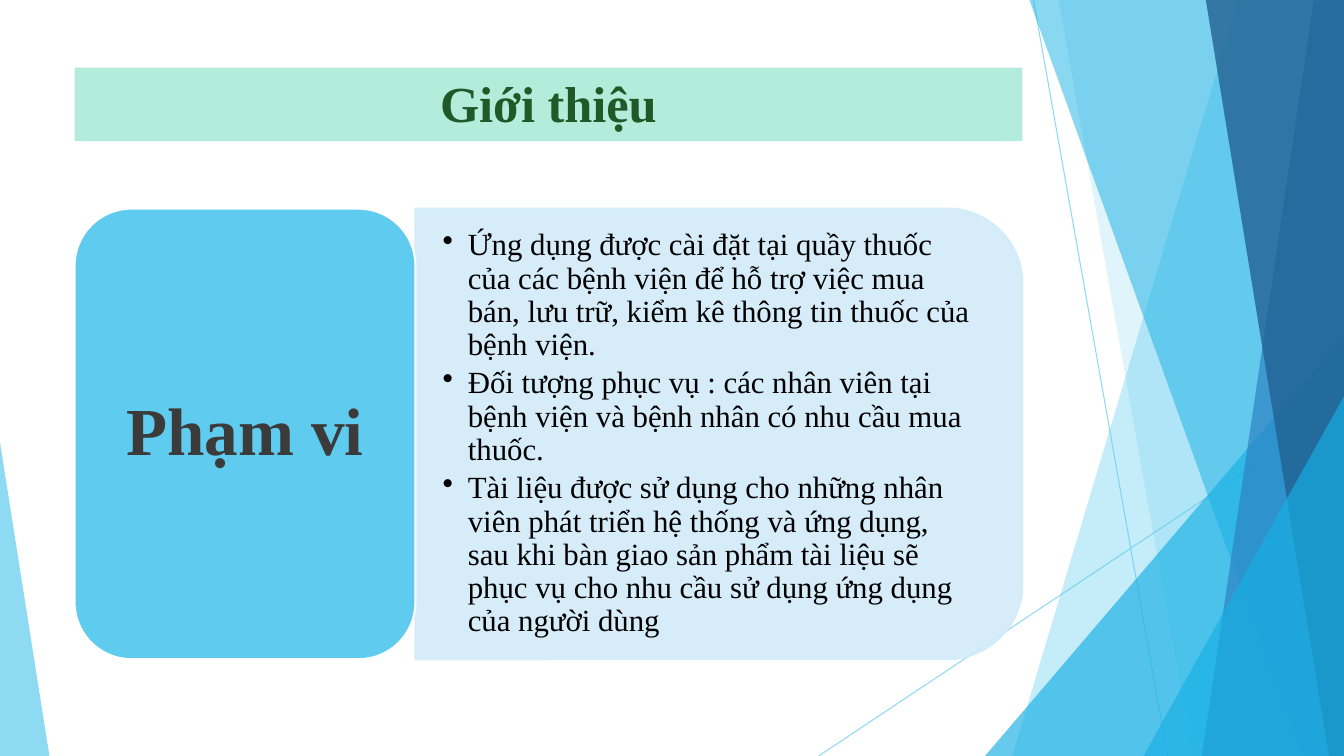
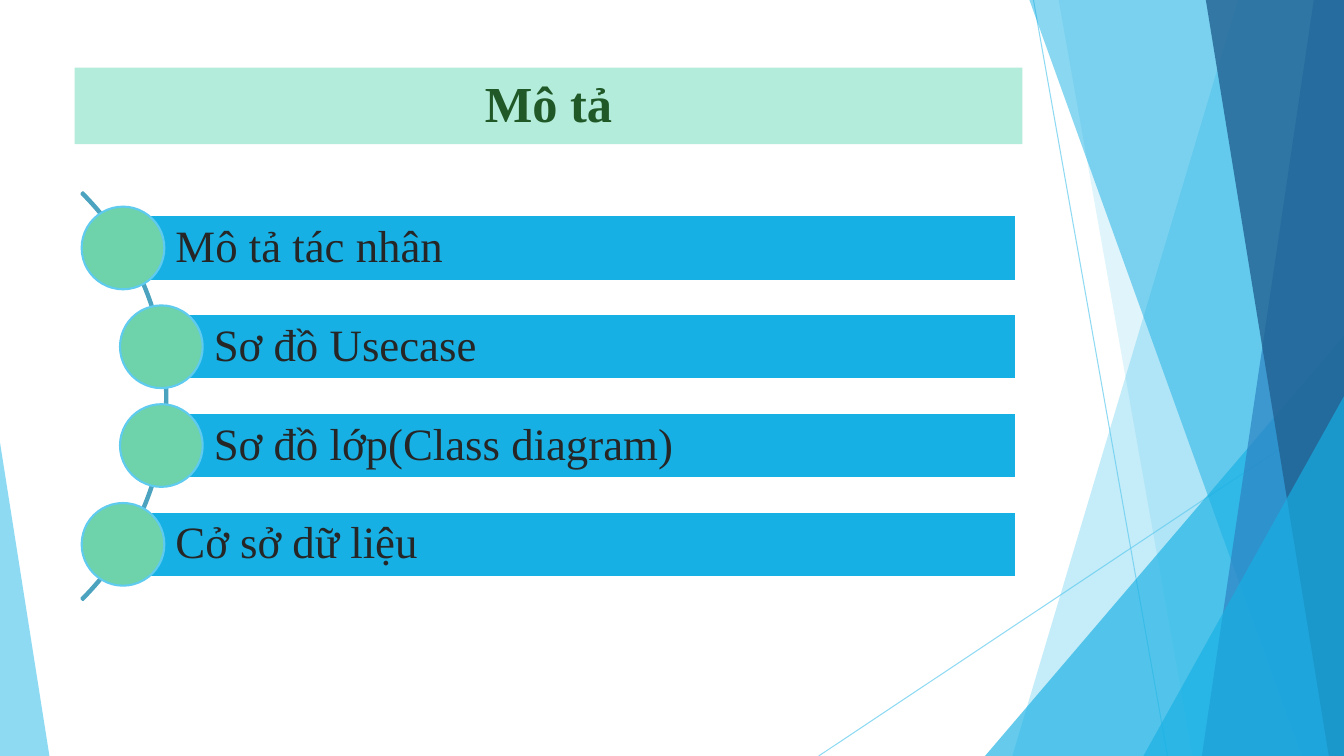
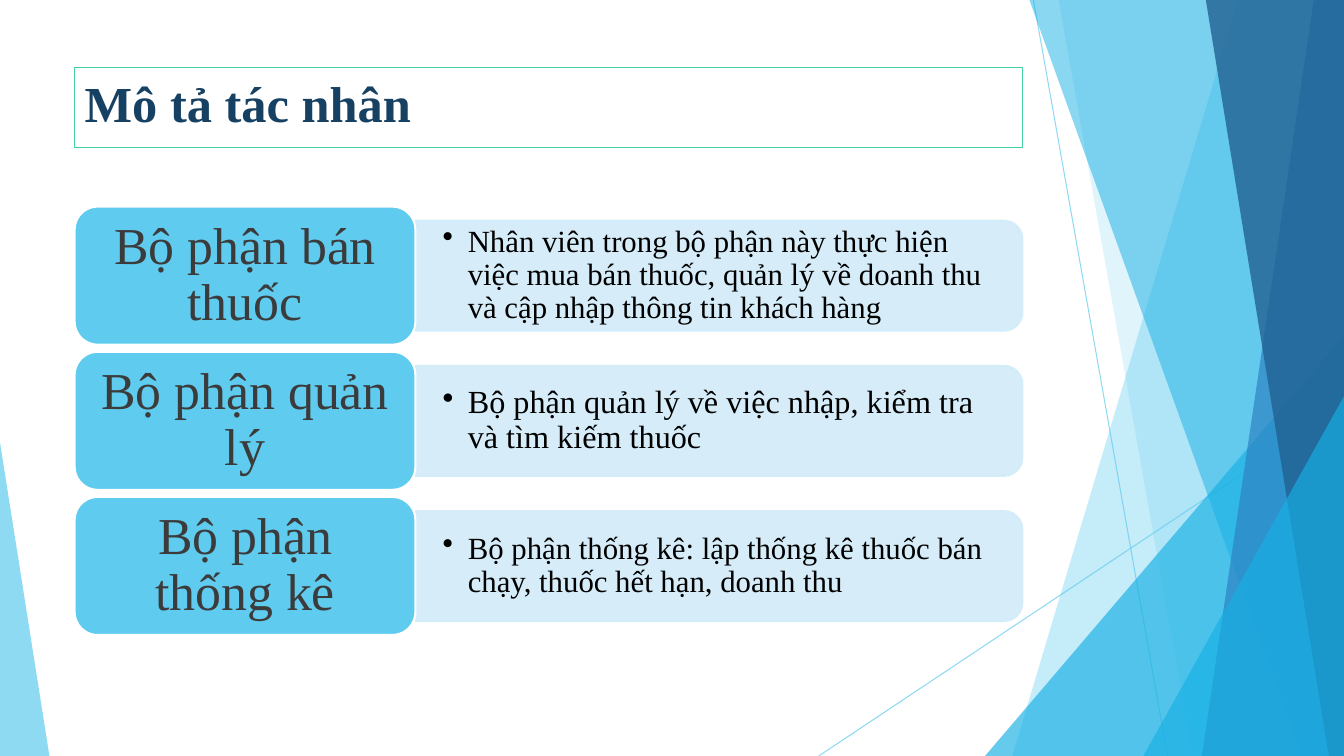
from dataclasses import dataclass
from typing import Optional

from lxml.etree import SubElement
from pptx import Presentation
from pptx.dml.color import RGBColor
from pptx.enum.shapes import MSO_CONNECTOR, MSO_SHAPE as Preset
from pptx.enum.text import MSO_ANCHOR as Anchor, MSO_AUTO_SIZE as AutoSize, PP_ALIGN as Align
from pptx.oxml.ns import qn
from pptx.util import Inches, Pt

FONT = "Times New Roman"
WHITE = RGBColor(0xFF, 0xFF, 0xFF)
BLACK = RGBColor(0x00, 0x00, 0x00)
CHARCOAL = RGBColor(0x26, 0x26, 0x26)
GRAY = RGBColor(0x3B, 0x3B, 0x3B)
SKY = RGBColor(0x5F, 0xCB, 0xEF)
CYAN = RGBColor(0x17, 0xB0, 0xE4)
BLUE = RGBColor(0x2E, 0x83, 0xC3)
NAVY = RGBColor(0x22, 0x62, 0x92)
INK = RGBColor(0x17, 0x41, 0x62)
PALE_BLUE = RGBColor(0xD2, 0xEC, 0xF9)
ARC_TEAL = RGBColor(0x4C, 0xA3, 0xBF)
MINT = RGBColor(0xB3, 0xEC, 0xDA)
GREEN = RGBColor(0x6E, 0xD2, 0xAA)
EMERALD = RGBColor(0x42, 0xD0, 0xA2)
FOREST = RGBColor(0x21, 0x58, 0x28)

SLIDE_WIDTH, SLIDE_HEIGHT = 13.33, 7.5
LEFT = 0.74
LABEL_WIDTH, PANEL_WIDTH = 3.38, 6.02
CORNER_INSET = 0.05  # share of a panel's height kept clear of its round corners


@dataclass(frozen=True)
class Ray:
    """A band from the top edge to the bottom edge, closed by the right edge."""
    top_x: float
    bottom_x: float
    color: RGBColor
    opacity: int


@dataclass(frozen=True)
class Wedge:
    left: float
    top: float
    width: float
    apex: float
    color: RGBColor
    opacity: int


@dataclass(frozen=True)
class TextStyle:
    size: float
    color: RGBColor
    bold: bool = False
    align: Align = Align.LEFT
    line_spacing: float = 0.9


@dataclass(frozen=True)
class TitleStyle:
    text: TextStyle
    fill: Optional[RGBColor] = None
    line: Optional[RGBColor] = None


@dataclass(frozen=True)
class Row:
    label: str
    points: list[str]
    point_size: int = 22


@dataclass(frozen=True)
class RowStyle:
    label: TextStyle
    height: float
    panel_height: float
    margin_x: float
    margin_y: float


THIN_LINES = [((10.25, 0), (11.58, 7.5)), ((13.33, 4.03), (8.12, 7.5))]
BACKDROP = [
    Ray(12.28, 10.04, SKY, 36),
    Ray(10.5, 11.83, SKY, 20),
    Wedge(9.77, 3.33, 3.56, 1, CYAN, 66),
    Ray(10.21, 12.91, CYAN, 50),
    Ray(13.03, 11.92, BLUE, 70),
    Ray(11.96, 13.18, NAVY, 80),
    Wedge(11.34, 3.93, 1.99, 1, CYAN, 66),
    Wedge(0, 4.39, 0.49, 0, SKY, 70),
]

BAND_TITLE = TitleStyle(TextStyle(36, FOREST, True, Align.CENTER, 1), fill=MINT)
FRAME_TITLE = TitleStyle(TextStyle(36, INK, True, line_spacing=1), line=EMERALD)
SCOPE_STYLE = RowStyle(TextStyle(48, GRAY, True, Align.CENTER), 4.47, 4.47, 0.2, 0.1)
ACTOR_STYLE = RowStyle(TextStyle(37, GRAY, align=Align.CENTER), 1.37, 1.09, 0.15, 0.08)

SCOPE = Row("Phạm vi", [
    "Ứng dụng được cài đặt tại quầy thuốc của các bệnh viện để hỗ trợ việc mua bán, "
    "lưu trữ, kiểm kê thông tin thuốc của bệnh viện.",
    "Đối tượng phục vụ : các nhân viên tại bệnh viện và bệnh nhân có nhu cầu mua thuốc.",
    "Tài liệu được sử dụng cho những nhân viên phát triển hệ thống và ứng dụng, sau khi "
    "bàn giao sản phẩm tài liệu sẽ phục vụ cho nhu cầu sử dụng ứng dụng của người dùng",
])
TOPICS = ["Mô tả tác nhân", "Sơ đồ Usecase", "Sơ đồ lớp(Class diagram)", "Cở sở dữ liệu"]
ACTORS = [
    Row("Bộ phận bán thuốc", ["Nhân viên trong bộ phận này thực hiện việc mua bán thuốc, "
                              "quản lý về doanh thu và cập nhập thông tin khách hàng"]),
    Row("Bộ phận quản lý", ["Bộ phận quản lý về việc nhập, kiểm tra và tìm kiếm thuốc"], 23),
    Row("Bộ phận thống kê", ["Bộ phận thống kê: lập thống kê thuốc bán chạy, "
                             "thuốc hết hạn, doanh thu"]),
]


def paint(shape, fill: Optional[RGBColor], line: Optional[RGBColor] = None,
          line_width: float = 1.5) -> None:
    if fill is None:
        shape.fill.background()
    else:
        shape.fill.solid()
        shape.fill.fore_color.rgb = fill
    if line is None:
        shape.line.fill.background()
    else:
        shape.line.color.rgb = line
        shape.line.width = Pt(line_width)


def set_opacity(shape, percent: int) -> None:
    for color in shape.element.iter(qn("a:srgbClr")):
        SubElement(color, qn("a:alpha"), val=str(percent * 1000))


def add_preset(slide, preset: Preset, left: float, top: float, width: float, height: float,
               fill: Optional[RGBColor], line: Optional[RGBColor] = None):
    shape = slide.shapes.add_shape(preset, Inches(left), Inches(top),
                                   Inches(width), Inches(height))
    shape.shadow.inherit = False
    paint(shape, fill, line)
    return shape


def write(shape, paragraphs: list[str], style: TextStyle, anchor: Anchor = Anchor.MIDDLE) -> None:
    frame = shape.text_frame
    frame.text = "\n".join(paragraphs)
    frame.word_wrap = True
    frame.auto_size = AutoSize.NONE
    frame.vertical_anchor = anchor
    for para in frame.paragraphs:
        para.alignment = style.align
        para.line_spacing = style.line_spacing
        for span in para.runs:
            span.font.name = FONT
            span.font.size = Pt(style.size)
            span.font.bold = style.bold
            span.font.color.rgb = style.color


def set_margins(shape, left: float, top: float, right: float, bottom: float) -> None:
    frame = shape.text_frame
    frame.margin_left, frame.margin_top = Inches(left), Inches(top)
    frame.margin_right, frame.margin_bottom = Inches(right), Inches(bottom)


def add_bullets(shape) -> None:
    for para in shape.text_frame.paragraphs:
        para.space_after = Pt(3.6)
        properties = para._p.get_or_add_pPr()
        properties.set("marL", str(Inches(0.25)))
        properties.set("indent", str(-Inches(0.25)))
        SubElement(properties, qn("a:buChar"), char="•")


def add_ray(slide, ray: Ray):
    builder = slide.shapes.build_freeform(Inches(ray.top_x), 0, scale=1.0)
    corners = [(SLIDE_WIDTH, 0), (SLIDE_WIDTH, SLIDE_HEIGHT), (ray.bottom_x, SLIDE_HEIGHT)]
    builder.add_line_segments([(Inches(x), Inches(y)) for x, y in corners], close=True)
    shape = builder.convert_to_shape()
    shape.shadow.inherit = False
    paint(shape, ray.color)
    return shape


def add_wedge(slide, wedge: Wedge):
    shape = add_preset(slide, Preset.ISOSCELES_TRIANGLE, wedge.left, wedge.top, wedge.width,
                       SLIDE_HEIGHT - wedge.top, wedge.color)
    shape.adjustments[0] = wedge.apex
    return shape


def add_thin_line(slide, start: tuple[float, float], end: tuple[float, float]):
    line = slide.shapes.add_connector(MSO_CONNECTOR.STRAIGHT, *map(Inches, start + end))
    line.line.color.rgb = SKY
    line.line.width = Pt(0.75)
    set_opacity(line, 70)
    SubElement(line.element.spPr, qn("a:effectLst"))
    return line


def move_backdrop_to_layout(slide, layout) -> None:
    """Draw the backdrop on a slide, then hand it to the layout all slides share."""
    for placeholder in list(layout.placeholders)[1:]:
        layout.shapes.element.remove(placeholder.element)
    drawn = [add_thin_line(slide, start, end) for start, end in THIN_LINES]
    for part in BACKDROP:
        shape = add_ray(slide, part) if isinstance(part, Ray) else add_wedge(slide, part)
        set_opacity(shape, part.opacity)
        drawn.append(shape)
    for shape in drawn:
        layout.shapes.element.append(shape.element)


def set_title(slide, text: str, height: float, style: TitleStyle) -> None:
    title = slide.shapes.title
    title.left, title.top = Inches(LEFT), Inches(0.67)
    title.width, title.height = Inches(LABEL_WIDTH + PANEL_WIDTH), Inches(height)
    paint(title, style.fill, style.line, 0.75)
    write(title, [text], style.text, Anchor.TOP)


def add_row(slide, row: Row, top: float, style: RowStyle) -> None:
    """Add a label with a panel of bullets at its right, centred on the label."""
    panel_left, height = LEFT + LABEL_WIDTH, style.panel_height
    panel_top = top + (style.height - height) / 2
    # The panel is turned a quarter, so its unrotated box swaps width and height.
    shift = (PANEL_WIDTH - height) / 2
    panel = add_preset(slide, Preset.ROUND_2_SAME_RECTANGLE, panel_left + shift,
                       panel_top - shift, height, PANEL_WIDTH, PALE_BLUE, PALE_BLUE)
    panel.rotation = 90
    set_opacity(panel, 90)

    inset = height * CORNER_INSET
    box = slide.shapes.add_textbox(Inches(panel_left), Inches(panel_top + inset),
                                   Inches(PANEL_WIDTH - inset), Inches(height - 2 * inset))
    write(box, row.points, TextStyle(row.point_size, BLACK))
    set_margins(box, 0.27, 0.14, 0.27, 0.14)
    add_bullets(box)

    label = add_preset(slide, Preset.ROUNDED_RECTANGLE, LEFT, top, LABEL_WIDTH,
                       style.height, SKY, WHITE)
    write(label, [row.label], style.label)
    set_margins(label, style.margin_x, style.margin_y, style.margin_x, style.margin_y)


def add_topics(slide) -> None:
    """Add the bars, each starting at the centre of a circle set along an arc."""
    arc = add_preset(slide, Preset.BLOCK_ARC, -4.06, 1.07, 5.72, 5.72, None, ARC_TEAL)
    for index, value in enumerate((189, 27, 0.004)):
        arc.adjustments[index] = value
    diameter, bar_height, bar_right = 0.82, 0.65, 10.08
    for index, topic in enumerate(TOPICS):
        top = 2.05 + index * 0.98
        left = 0.81 if index in (0, len(TOPICS) - 1) else 1.19
        bar_left = left + diameter / 2
        bar = add_preset(slide, Preset.RECTANGLE, bar_left, top + (diameter - bar_height) / 2,
                         bar_right - bar_left, bar_height, CYAN, WHITE)
        write(bar, [topic], TextStyle(32, CHARCOAL))
        set_margins(bar, 0.52, 0.09, 0.09, 0.09)
        add_preset(slide, Preset.OVAL, left, top, diameter, diameter, GREEN, SKY)


def main() -> None:
    deck = Presentation()
    deck.slide_width, deck.slide_height = Inches(SLIDE_WIDTH), Inches(SLIDE_HEIGHT)
    layout = deck.slide_layouts.get_by_name("Title Only")
    intro, description, actors = [deck.slides.add_slide(layout) for _ in range(3)]
    move_backdrop_to_layout(intro, layout)

    set_title(intro, "Giới thiệu", 0.73, BAND_TITLE)
    add_row(intro, SCOPE, 2.07, SCOPE_STYLE)

    set_title(description, "Mô tả", 0.76, BAND_TITLE)
    add_topics(description)

    set_title(actors, "Mô tả tác nhân", 0.79, FRAME_TITLE)
    for index, row in enumerate(ACTORS):
        add_row(actors, row, 2.05 + index * 1.44, ACTOR_STYLE)

    deck.save("out.pptx")


if __name__ == "__main__":
    main()
